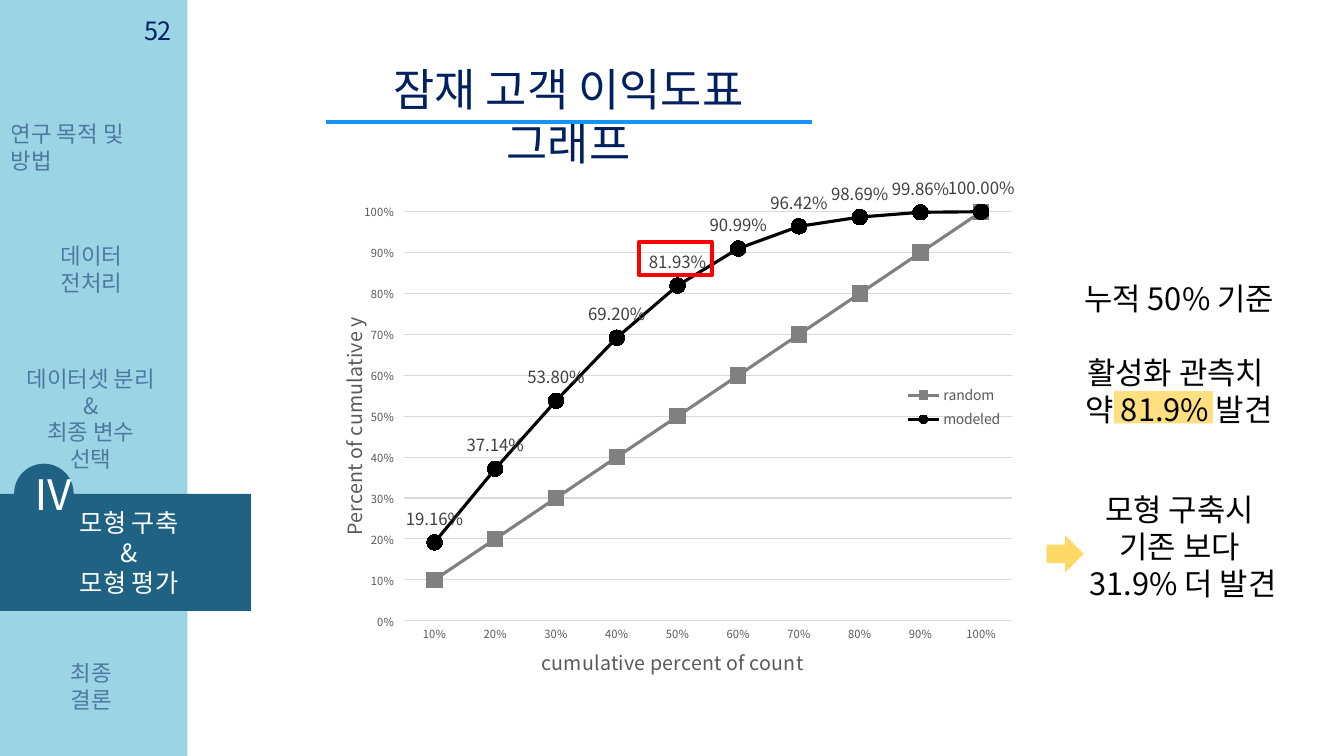
from lxml import etree
from pptx import Presentation
from pptx.chart.data import CategoryChartData
from pptx.dml.color import RGBColor
from pptx.enum.chart import (XL_CHART_TYPE, XL_LABEL_POSITION, XL_LEGEND_POSITION,
                             XL_MARKER_STYLE, XL_TICK_MARK)
from pptx.enum.shapes import MSO_CONNECTOR, MSO_SHAPE
from pptx.enum.text import MSO_ANCHOR, MSO_AUTO_SIZE, PP_ALIGN
from pptx.oxml import parse_xml
from pptx.oxml.ns import nsdecls, qn
from pptx.util import Inches, Pt

FONT = "Noto Sans CJK KR"
COLORS = {
    "navy": "002060", "side": "9BD4E4", "current": "1F6283", "white": "FFFFFF",
    "black": "000000", "rule": "1893F8", "red": "FF0000", "highlight": "FFC000",
    "arrow": "FFD966", "random": "808080", "axis": "595959", "grid": "D9D9D9",
    "label": "404040",
}
RGB = {name: RGBColor.from_string(value) for name, value in COLORS.items()}


def write(frame, lines, size, color, align=PP_ALIGN.CENTER, alpha=None):
    """Fill a text frame with one unkerned paragraph per line."""
    frame.word_wrap = True
    frame.text = "\n".join(lines)
    for para in frame.paragraphs:
        para.alignment = align
        font = para.font
        font.name, font.size = FONT, Pt(size)
        font.color.rgb = RGB[color]
        properties = font._element
        properties.set("kern", "0")
        east_asian = etree.Element(qn("a:ea"), typeface=FONT)
        properties.find(qn("a:latin")).addnext(east_asian)
        if alpha:
            tone = properties.find(".//" + qn("a:srgbClr"))
            etree.SubElement(tone, qn("a:alpha"), val=str(alpha * 1000))


def place(element, index, **numbers):
    """Give a chart part a manual layout in fractions of the chart."""
    for layout in element.findall(qn("c:layout")):
        element.remove(layout)
    target = '<c:layoutTarget val="inner"/>' if index == 0 else ""
    modes = '<c:xMode val="edge"/><c:yMode val="edge"/>'
    values = "".join(f'<c:{key} val="{value}"/>' for key, value in numbers.items())
    element.insert(index, parse_xml(
        f'<c:layout {nsdecls("c")}><c:manualLayout>{target}{modes}{values}'
        "</c:manualLayout></c:layout>"))


deck = Presentation()
deck.slide_width, deck.slide_height = Inches(13.33), Inches(7.5)
page = deck.slides.add_slide(deck.slide_layouts[5])

# Title
title = page.shapes.title
title.left, title.top = Inches(3.23), Inches(0.56)
title.width, title.height = Inches(4.82), Inches(0.64)
write(title.text_frame, ["잠재 고객 이익도표 그래프"], 32, "navy")
title.text_frame.auto_size = MSO_AUTO_SIZE.NONE
title.text_frame.vertical_anchor = MSO_ANCHOR.TOP

# Highlight, sidebar, current section and its number
blocks = {}
for name, kind, left, top, width, height, color in [
    ("highlight", MSO_SHAPE.RECTANGLE, 11.05, 3.88, 0.98, 0.32, "highlight"),
    ("sidebar", MSO_SHAPE.RECTANGLE, -0.04, 0, 1.9, 7.5, "side"),
    ("section", MSO_SHAPE.RECTANGLE, -0.04, 4.9, 2.53, 1.16, "current"),
    ("number", MSO_SHAPE.OVAL, 0.14, 4.6, 0.59, 0.59, "current"),
    ("arrow", MSO_SHAPE.RIGHT_ARROW, 10.38, 5.31, 0.37, 0.37, "arrow"),
]:
    block = page.shapes.add_shape(
        kind, Inches(left), Inches(top), Inches(width), Inches(height))
    block.shadow.inherit = False
    block.fill.solid()
    block.fill.fore_color.rgb = RGB[color]
    block.line.fill.background()
    blocks[name] = block
highlight_tone = blocks["highlight"]._element.spPr.find(".//" + qn("a:srgbClr"))
etree.SubElement(highlight_tone, qn("a:alpha"), val="50000")

write(blocks["section"].text_frame, ["모형 구축", "&", "모형 평가"], 18, "white")
blocks["section"].text_frame.margin_left = Inches(0.21)
write(blocks["number"].text_frame, ["Ⅳ"], 30, "white")

# Sidebar labels, page number and findings
CENTER, LEFT = PP_ALIGN.CENTER, PP_ALIGN.LEFT
texts = [
    (0.01, 1.14, 1.77, 0.37, ["연구 목적 및 방법"], 16, "navy", LEFT, 50),
    (0.18, 2.35, 1.46, 0.37, ["데이터 전처리"], 16, "navy", CENTER, 50),
    (0.16, 3.57, 1.48, 0.91, ["데이터셋 분리", "&", "최종 변수 선택"], 16, "navy", CENTER, 50),
    (0.38, 6.49, 1.05, 0.37, ["최종 결론"], 16, "navy", CENTER, 50),
    (1.33, 0.1, 0.51, 0.4, ["52"], 18, "navy", LEFT, None),
    (10.38, 4.82, 2.71, 1.21, ["모형 구축시 ", "기존 보다 ", "31.9% 더 발견"],
     22, "black", CENTER, None),
    (10.3, 2.73, 2.79, 1.58, ["누적 50% 기준", "활성화 관측치 ", "약 81.9% 발견"],
     22, "black", CENTER, None),
]
for left, top, width, height, lines, size, color, align, alpha in texts:
    box = page.shapes.add_textbox(
        Inches(left), Inches(top), Inches(width), Inches(height))
    write(box.text_frame, lines, size, color, align, alpha)
box.text_frame.paragraphs[1].space_before = Pt(26.5)

# Gains chart
data = CategoryChartData(number_format="0.00%")
shares = [step / 10 for step in range(1, 11)]
data.categories = [f"{share:.0%}" for share in shares]
data.add_series("random", shares)
data.add_series("modeled", [0.1916, 0.3714, 0.538, 0.692, 0.8193,
                            0.9099, 0.9642, 0.9869, 0.9986, 1])
chart = page.shapes.add_chart(
    XL_CHART_TYPE.LINE_MARKERS, Inches(3.31), Inches(1.61),
    Inches(6.99), Inches(5.17), data).chart
chart.has_title = False
chart.font.name, chart.font.size = FONT, Pt(10)
chart.font.color.rgb = RGB["axis"]
place(chart._chartSpace.chart.plotArea, 0, x=0.1, y=0.095, w=0.862, h=0.785)

for series, color, marker in zip(
        chart.plots[0].series, ["random", "black"],
        [XL_MARKER_STYLE.SQUARE, XL_MARKER_STYLE.CIRCLE]):
    series.smooth = False
    series.format.line.color.rgb = RGB[color]
    series.format.line.width = Pt(2.25)
    series.marker.style, series.marker.size = marker, 11
    series.marker.format.fill.solid()
    series.marker.format.fill.fore_color.rgb = RGB[color]
    series.marker.format.line.color.rgb = RGB[color]

labels = chart.plots[0].series[1].data_labels
labels.show_value = True
labels.position = XL_LABEL_POSITION.ABOVE
labels.number_format, labels.number_format_is_linked = "0.00%", False
labels.font.name, labels.font.size = FONT, Pt(12)
labels.font.color.rgb = RGB["label"]

# Axes and legend
for axis, caption, left, top in [
    (chart.category_axis, "cumulative percent of count", 0.29, 0.92),
    (chart.value_axis, "Percent of cumulative y", 0, 0.29),
]:
    write(axis.axis_title.text_frame, [caption], 14, "axis")
    axis.axis_title.text_frame.paragraphs[0].font.bold = False
    place(axis.axis_title._element, 1, x=left, y=top)
    axis.tick_labels.font.name, axis.tick_labels.font.size = FONT, Pt(8)
    axis.tick_labels.font.color.rgb = RGB["axis"]
    axis.tick_labels.number_format = "0%"
    axis.tick_labels.number_format_is_linked = False
chart.category_axis.major_tick_mark = XL_TICK_MARK.NONE
chart.category_axis.format.line.color.rgb = RGB["grid"]
chart.category_axis.format.line.width = Pt(0.75)
value_axis = chart.value_axis
value_axis.minimum_scale, value_axis.maximum_scale = 0, 1
value_axis.major_unit = 0.1
value_axis.format.line.fill.background()
value_axis.major_gridlines.format.line.color.rgb = RGB["grid"]
value_axis.major_gridlines.format.line.width = Pt(0.75)

chart.has_legend = True
chart.legend.position = XL_LEGEND_POSITION.RIGHT
chart.legend.include_in_layout = False
chart.legend.font.name, chart.legend.font.size = FONT, Pt(10)
chart.legend.font.color.rgb = RGB["axis"]
place(chart.legend._element, 1, x=0.8, y=0.42, w=0.16, h=0.1)

# Title rule and frame around the 50% value
rule = page.shapes.add_connector(
    MSO_CONNECTOR.STRAIGHT, Inches(3.23), Inches(1.21), Inches(8.05), Inches(1.21))
rule.line.color.rgb, rule.line.width = RGB["rule"], Pt(2.5)
etree.SubElement(rule._element.spPr, qn("a:effectLst"))

frame = page.shapes.add_shape(
    MSO_SHAPE.RECTANGLE, Inches(6.34), Inches(2.4), Inches(0.72), Inches(0.33))
frame.shadow.inherit = False
frame.fill.background()
frame.line.color.rgb, frame.line.width = RGB["red"], Pt(3)

deck.save("out.pptx")
